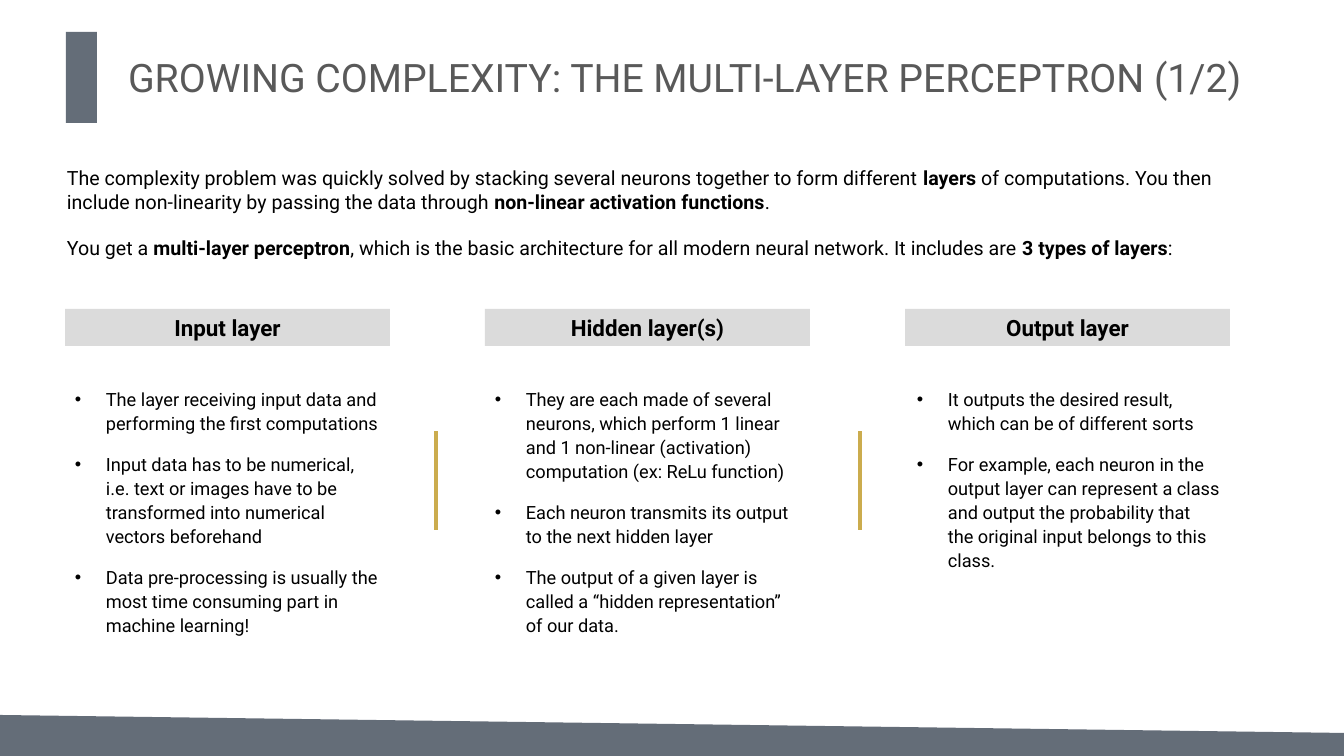
from dataclasses import dataclass

from lxml import etree
from pptx import Presentation, util as u
from pptx.dml.color import RGBColor
from pptx.enum import shapes, text
from pptx.oxml.ns import qn


@dataclass(frozen=True)
class Theme:
    font: str = "Roboto"
    slate: str = "646D78"
    grey: str = "DBDBDB"
    gold: str = "CBAC4E"
    title: str = "595959"
    ink: str = "000000"
    head: int = 28
    label: int = 16
    body: int = 14
    item: int = 13


THEME = Theme()
WIDE, HIGH = 1344, 756
LEFT, STEP, COL = 65, 420, 325

INTRO = [
    "The complexity problem was quickly solved by stacking several neurons together to form "
    "different *layers* of computations. You then include non-linearity by passing the data "
    "through *non-linear activation functions*.",
    "You get a *multi-layer perceptron*, which is the basic architecture for all modern neural "
    "network. It includes are *3 types of layers*:",
]

LAYERS = [
    ("Input layer", 0, [
        "The layer receiving input data and performing the first computations",
        "Input data has to be numerical, i.e. text or images have to be transformed into "
        "numerical vectors beforehand",
        "Data pre-processing is usually the most time consuming part in machine learning!",
    ]),
    ("Hidden layer(s)", 0, [
        "They are each made of several neurons, which perform 1 linear and 1 non-linear "
        "(activation) computation (ex: ReLu function)",
        "Each neuron transmits its output to the next hidden layer",
        "The output of a given layer is called a “hidden representation” of our data.",
    ]),
    ("Output layer", 2, [
        "It outputs the desired result, which can be of different sorts",
        "For example, each neuron in the output layer can represent a class and output the "
        "probability that the original input belongs to this class.",
    ]),
]


def px(n):
    return u.Inches(n / 100.8)


def area(*box):
    return [px(n) for n in box]


def tint(fill, color):
    fill.solid()
    fill.fore_color.rgb = RGBColor.from_string(color)


def dot(para):
    props = para._p.get_or_add_pPr()
    props.set("marL", str(px(31)))
    props.set("indent", str(-px(31)))
    etree.SubElement(props, qn("a:buFont")).set("typeface", "Arial")
    etree.SubElement(props, qn("a:buChar")).set("char", "•")


def write(shape, lines, size, color=THEME.ink, bold=False, align=text.PP_ALIGN.LEFT,
          anchor=text.MSO_ANCHOR.TOP, bullet=False, lead=1.0, before=0, after=0):
    frame = shape.text_frame
    frame.word_wrap = True
    frame.auto_size = text.MSO_AUTO_SIZE.NONE
    frame.vertical_anchor = anchor
    for i, line in enumerate(lines):
        para = frame.add_paragraph() if i else frame.paragraphs[0]
        para.alignment = align
        para.line_spacing = lead
        para.space_before = u.Pt(before if i else 0)
        para.space_after = u.Pt(after)
        if bullet:
            dot(para)
        for j, part in enumerate(line.split("*")):
            run = para.add_run()
            run.text = part
            run.font.name = THEME.font
            run.font.size = u.Pt(size)
            run.font.bold = bold or j % 2 == 1
            run.font.color.rgb = RGBColor.from_string(color)


def block(slide, box, color):
    shape = slide.shapes.add_shape(shapes.MSO_SHAPE.RECTANGLE, *area(*box))
    shape.shadow.inherit = False
    tint(shape.fill, color)
    shape.line.fill.background()
    return shape


def note(slide, box, lines, size, **style):
    write(slide.shapes.add_textbox(*area(*box)), lines, size, **style)


def foot(slide):
    path = slide.shapes.build_freeform(0, 715, scale=px(1))
    path.add_line_segments([(WIDE, 733), (WIDE, HIGH), (0, HIGH)], close=True)
    shape = path.convert_to_shape()
    shape.shadow.inherit = False
    tint(shape.fill, THEME.slate)
    shape.line.fill.background()


def rule(slide, x):
    line = slide.shapes.add_connector(shapes.MSO_CONNECTOR.STRAIGHT, *area(x, 530, x, 431))
    tint(line.line.fill, THEME.gold)
    line.line.width = u.Pt(2.25)
    etree.SubElement(line._element.spPr, qn("a:effectLst"))


def layer(slide, x, name, inset, items):
    bar = block(slide, (x, 309, COL, 37), THEME.grey)
    write(bar, [name], THEME.label, bold=True, align=text.PP_ALIGN.CENTER,
          anchor=text.MSO_ANCHOR.MIDDLE)
    note(slide, (x + inset, 381, COL - inset, 285), items, THEME.item,
         bullet=True, lead=1.1, after=12)


def main():
    deck = Presentation()
    deck.slide_width, deck.slide_height = area(WIDE, HIGH)
    slide = deck.slides.add_slide(deck.slide_layouts[5])
    foot(slide)
    title = slide.shapes.title
    title.left, title.top, title.width, title.height = area(118, 48, 1175, 58)
    write(title, ["GROWING COMPLEXITY: THE MULTI-LAYER PERCEPTRON (1/2)"], THEME.head,
          color=THEME.title, anchor=text.MSO_ANCHOR.MIDDLE)
    block(slide, (66, 32, 31, 91), THEME.slate)
    note(slide, (57, 161, 1219, 105), INTRO, THEME.body, before=16.5)
    for i, (name, inset, items) in enumerate(LAYERS):
        layer(slide, LEFT + i * STEP, name, inset, items)
    for x in (436, 860):
        rule(slide, x)
    deck.save("out.pptx")


if __name__ == "__main__":
    main()
